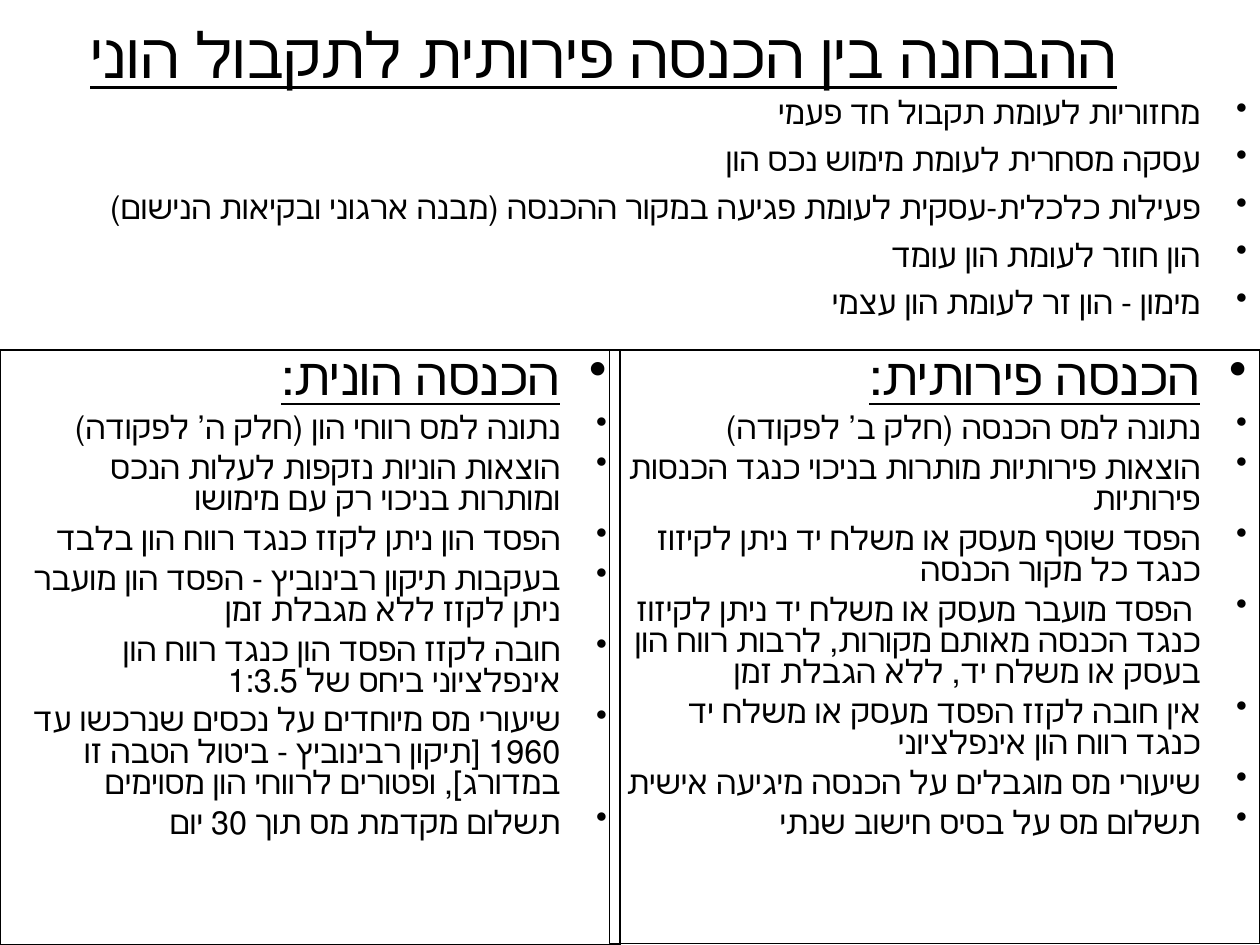
from dataclasses import dataclass

import lxml.etree
import pptx
import pptx.dml.color
import pptx.enum.shapes
import pptx.enum.text
import pptx.oxml.ns
import pptx.util

Pt = pptx.util.Pt
ALIGN = pptx.enum.text.PP_ALIGN
ANCHOR = pptx.enum.text.MSO_ANCHOR


@dataclass(frozen=True)
class Theme:
    ink: pptx.dml.color.RGBColor = pptx.dml.color.RGBColor(0, 0, 0)
    face: str = "Times New Roman"
    title_size: float = 36
    heading_size: float = 29.6
    bullet_size: float = 18.5
    bullet_gap: float = 5
    bullet_indent: float = 27
    panel_spacing: float = 0.8
    border: float = 0.75


@dataclass(frozen=True)
class Box:
    left: float
    top: float
    width: float
    height: float

    def lengths(self) -> tuple:
        return tuple(Pt(v) for v in (self.left, self.top, self.width, self.height))


@dataclass(frozen=True)
class Panel:
    box: Box
    heading: str
    points: tuple


THEME = Theme()
TITLE = "ההבחנה בין הכנסה פירותית לתקבול הוני"
TITLE_BOX = Box(0, 0, 690, 60.5)
CRITERIA_BOX = Box(0, 49, 720, 147.6)
CRITERIA = (
    "מחזוריות לעומת תקבול חד פעמי",
    "עסקה מסחרית לעומת מימוש נכס הון",
    "פעילות כלכלית-עסקית לעומת פגיעה במקור ההכנסה (מבנה ארגוני ובקיאות הנישום)",
    "הון חוזר לעומת הון עומד",
    "מימון - הון זר לעומת הון עצמי",
)
PANELS = (
    Panel(Box(0, 200, 354.25, 340), "הכנסה הונית:", (
        "נתונה למס רווחי הון (חלק ה’ לפקודה)",
        "הוצאות הוניות נזקפות לעלות הנכס ומותרות בניכוי רק עם מימושו",
        "הפסד הון ניתן לקזז כנגד רווח הון בלבד",
        "בעקבות תיקון רבינוביץ - הפסד הון מועבר ניתן לקזז ללא מגבלת זמן",
        "חובה לקזז הפסד הון כנגד רווח הון אינפלציוני ביחס של 1:3.5",
        "שיעורי מס מיוחדים על נכסים שנרכשו עד 1960 "
        "[תיקון רבינוביץ - ביטול הטבה זו במדורג], ופטורים לרווחי הון מסוימים",
        "תשלום מקדמת מס תוך 30 יום",
    )),
    Panel(Box(348.5, 200, 371.5, 339.25), "הכנסה פירותית:", (
        "נתונה למס הכנסה (חלק ב’ לפקודה)",
        "הוצאות פירותיות מותרות בניכוי כנגד הכנסות פירותיות",
        "הפסד שוטף מעסק או משלח יד ניתן לקיזוז כנגד כל מקור הכנסה",
        " הפסד מועבר מעסק או משלח יד ניתן לקיזוז כנגד הכנסה מאותם מקורות, "
        "לרבות רווח הון בעסק או משלח יד, ללא הגבלת זמן",
        "אין חובה לקזז הפסד מעסק או משלח יד כנגד רווח הון אינפלציוני",
        "שיעורי מס מוגבלים על הכנסה מיגיעה אישית",
        "תשלום מס על בסיס חישוב שנתי",
    )),
)


def apply(target, values: dict) -> None:
    for name, value in values.items():
        setattr(target, name, value)


def set_frame(frame, anchor) -> None:
    apply(frame, dict(
        word_wrap=True, auto_size=pptx.enum.text.MSO_AUTO_SIZE.NONE,
        vertical_anchor=anchor, margin_left=Pt(7.2), margin_right=Pt(7.2),
        margin_top=Pt(3.6), margin_bottom=Pt(3.6)))


def write(paragraph, text: str, size: float, align, underline: bool = False) -> None:
    """Write one right-to-left paragraph."""
    paragraph.alignment = align
    paragraph._p.get_or_add_pPr().set("rtl", "1")
    run = paragraph.add_run()
    run.text = text
    apply(run.font, dict(name=THEME.face, size=Pt(size), underline=underline))
    run.font.color.rgb = THEME.ink


def add_bullet(paragraph) -> None:
    properties = paragraph._p.get_or_add_pPr()
    indent = Pt(THEME.bullet_indent)
    properties.set("marL", str(indent))
    properties.set("indent", str(-indent))
    mark = lxml.etree.SubElement(properties, pptx.oxml.ns.qn("a:buChar"))
    mark.set("char", "•")


def write_bullets(frame, points: tuple, spacing: float, heading: str = "") -> None:
    """Fill a frame with bullets, led by an underlined heading if there is one."""
    set_frame(frame, ANCHOR.TOP)
    lines = ((heading,) if heading else ()) + points
    for index, text in enumerate(lines):
        paragraph = frame.add_paragraph() if index else frame.paragraphs[0]
        is_heading = bool(heading) and index == 0
        size = THEME.heading_size if is_heading else THEME.bullet_size
        apply(paragraph, dict(line_spacing=spacing,
                              space_before=Pt(THEME.bullet_gap if index else 0)))
        add_bullet(paragraph)
        write(paragraph, text, size, ALIGN.RIGHT, is_heading)


def draw_panel(slide, panel: Panel) -> None:
    outline = slide.shapes.add_shape(
        pptx.enum.shapes.MSO_SHAPE.RECTANGLE, *panel.box.lengths())
    outline.shadow.inherit = False
    outline.fill.background()
    outline.line.color.rgb = THEME.ink
    outline.line.width = Pt(THEME.border)
    write_bullets(outline.text_frame, panel.points, THEME.panel_spacing, panel.heading)


def main() -> None:
    deck = pptx.Presentation()
    apply(deck, dict(slide_width=Pt(720), slide_height=Pt(540)))
    slide = deck.slides.add_slide(deck.slide_layouts[5])

    # Title
    title = slide.shapes.title
    apply(title, dict(zip(("left", "top", "width", "height"), TITLE_BOX.lengths())))
    set_frame(title.text_frame, ANCHOR.MIDDLE)
    write(title.text_frame.paragraphs[0], TITLE, THEME.title_size, ALIGN.CENTER, True)

    # Criteria that tell the two kinds of income apart
    criteria = slide.shapes.add_textbox(*CRITERIA_BOX.lengths())
    write_bullets(criteria.text_frame, CRITERIA, 1.0)

    # Capital income and current income side by side
    for panel in PANELS:
        draw_panel(slide, panel)

    deck.save("out.pptx")


if __name__ == "__main__":
    main()
